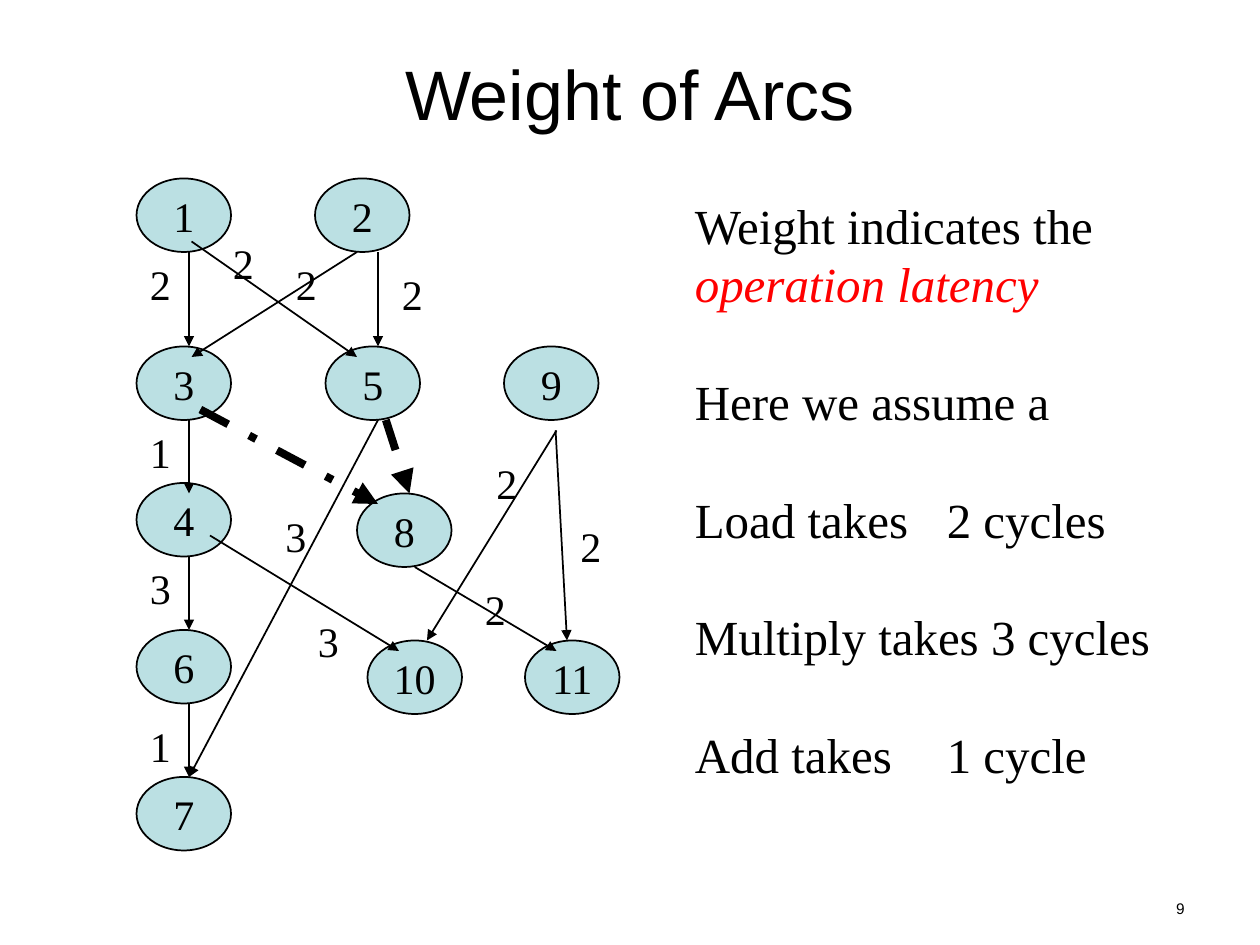
import pptx
import pptx.dml.color
import pptx.enum.dml
import pptx.enum.shapes
import pptx.enum.text
import pptx.util
from lxml import etree
from pptx.util import Pt

LEFT, CENTER, RIGHT = (
    pptx.enum.text.PP_ALIGN.LEFT,
    pptx.enum.text.PP_ALIGN.CENTER,
    pptx.enum.text.PP_ALIGN.RIGHT,
)
MIDDLE = pptx.enum.text.MSO_ANCHOR.MIDDLE
SERIF = "Times New Roman"
A = "{http://schemas.openxmlformats.org/drawingml/2006/main}"


def color(value):
    return pptx.dml.color.RGBColor.from_string(value)


def write(sp, text, size, font, align, wrap=True):
    tf = sp.text_frame
    tf.text = text
    tf.word_wrap = wrap
    for p in tf.paragraphs:
        p.alignment = align
        p.line_spacing = Pt(1.2 * size)
        for r in p.runs:
            r.font.size = Pt(size)
            r.font.name = font
            r.font.color.rgb = color("000000")
    return tf


prs = pptx.Presentation()
prs.slide_width, prs.slide_height = Pt(720), Pt(540)
s = prs.slides.add_slide(prs.slide_layouts[6])

# Slide number and title
sp = s.shapes.add_textbox(Pt(516), Pt(510), Pt(168), Pt(19.5))
write(sp, "9", 8.8, "Arial", RIGHT)
sp = s.shapes.add_textbox(Pt(36), Pt(21.6), Pt(648), Pt(62.6))
write(sp, "Weight of Arcs", 40, "Arial", CENTER).vertical_anchor = MIDDLE

# Operation nodes: name, left, top
nodes = [
    ("1", 78, 102), ("2", 180, 102),
    ("3", 78, 198), ("5", 186, 198), ("9", 288, 198),
    ("4", 78, 276), ("8", 204, 282),
    ("6", 78, 360), ("10", 210, 366), ("11", 300, 366),
    ("7", 78, 444),
]
for name, x, y in nodes:
    sp = s.shapes.add_shape(pptx.enum.shapes.MSO_SHAPE.OVAL, Pt(x), Pt(y), Pt(54), Pt(42))
    sp.shadow.inherit = False
    sp.fill.solid()
    sp.fill.fore_color.rgb = color("BBE0E3")
    sp.line.color.rgb = color("000000")
    sp.line.width = Pt(1)
    write(sp, name, 24, SERIF, CENTER, wrap=False).vertical_anchor = MIDDLE

# Arcs: start, end, dashed
arcs = [
    (108, 144, 108, 198, False),    # 1 to 3
    (204, 144, 109.5, 204, False),  # 2 to 3
    (109.5, 138, 204, 204, False),  # 1 to 5
    (216, 144, 216, 198, False),    # 2 to 5
    (108, 240, 108, 282, False),    # 3 to 4
    (108, 318, 108, 360, False),    # 4 to 6
    (108, 402, 108, 444, False),    # 6 to 7
    (216, 240, 108, 444, False),    # 5 to 7
    (220.5, 240, 234, 282, True),   # 5 to 8
    (114.5, 234, 216, 288, True),   # 3 to 8
    (120, 306, 228, 372, False),    # 4 to 10
    (318, 246, 244, 366, False),    # 9 to 10
    (237, 324, 318, 372, False),    # 8 to 11
    (317.5, 246, 324, 366, False),  # 9 to 11
]
for x1, y1, x2, y2, dashed in arcs:
    arc = s.shapes.add_connector(
        pptx.enum.shapes.MSO_CONNECTOR.STRAIGHT, Pt(x1), Pt(y1), Pt(x2), Pt(y2)
    )
    arc.line.color.rgb = color("000000")
    arc.line.width = Pt(4.5 if dashed else 1)
    if dashed:
        arc.line.dash_style = pptx.enum.dml.MSO_LINE.DASH_DOT
    sp_pr = arc.line._get_or_add_ln().getparent()
    etree.SubElement(sp_pr.find(A + "ln"), A + "tailEnd", type="triangle")
    etree.SubElement(sp_pr, A + "effectLst")

# Arc weights: value, left, top
weights = [
    ("2", 78.5, 144), ("2", 222.5, 150), ("2", 126, 132), ("2", 162, 144),
    ("1", 78.5, 240), ("3", 78.5, 318), ("1", 78.5, 408), ("3", 174.5, 348),
    ("2", 276.5, 258), ("2", 324.5, 294), ("2", 270, 330), ("3", 156, 288),
]
for value, x, y in weights:
    sp = s.shapes.add_textbox(Pt(x), Pt(y), Pt(26), Pt(36))
    write(sp, value, 24, SERIF, CENTER, wrap=False)

# Explanation
lines = [
    "Weight indicates the",
    "operation latency",
    "Here we assume a",
    "Load takes \t2 cycles",
    "Multiply takes 3 cycles",
    "Add takes \t1 cycle",
]
sp = s.shapes.add_textbox(Pt(390), Pt(108), Pt(288), Pt(343.2))
tf = write(sp, "\n".join(lines), 28, SERIF, LEFT)
for p in tf.paragraphs[2:]:
    p.space_before = Pt(33.6)
    tabs = etree.SubElement(p._p.get_or_add_pPr(), A + "tabLst")
    etree.SubElement(tabs, A + "tab", pos=str(Pt(144)), algn="l")
latency = tf.paragraphs[1].runs[0].font
latency.italic = True
latency.color.rgb = color("FF0000")

prs.save("out.pptx")
